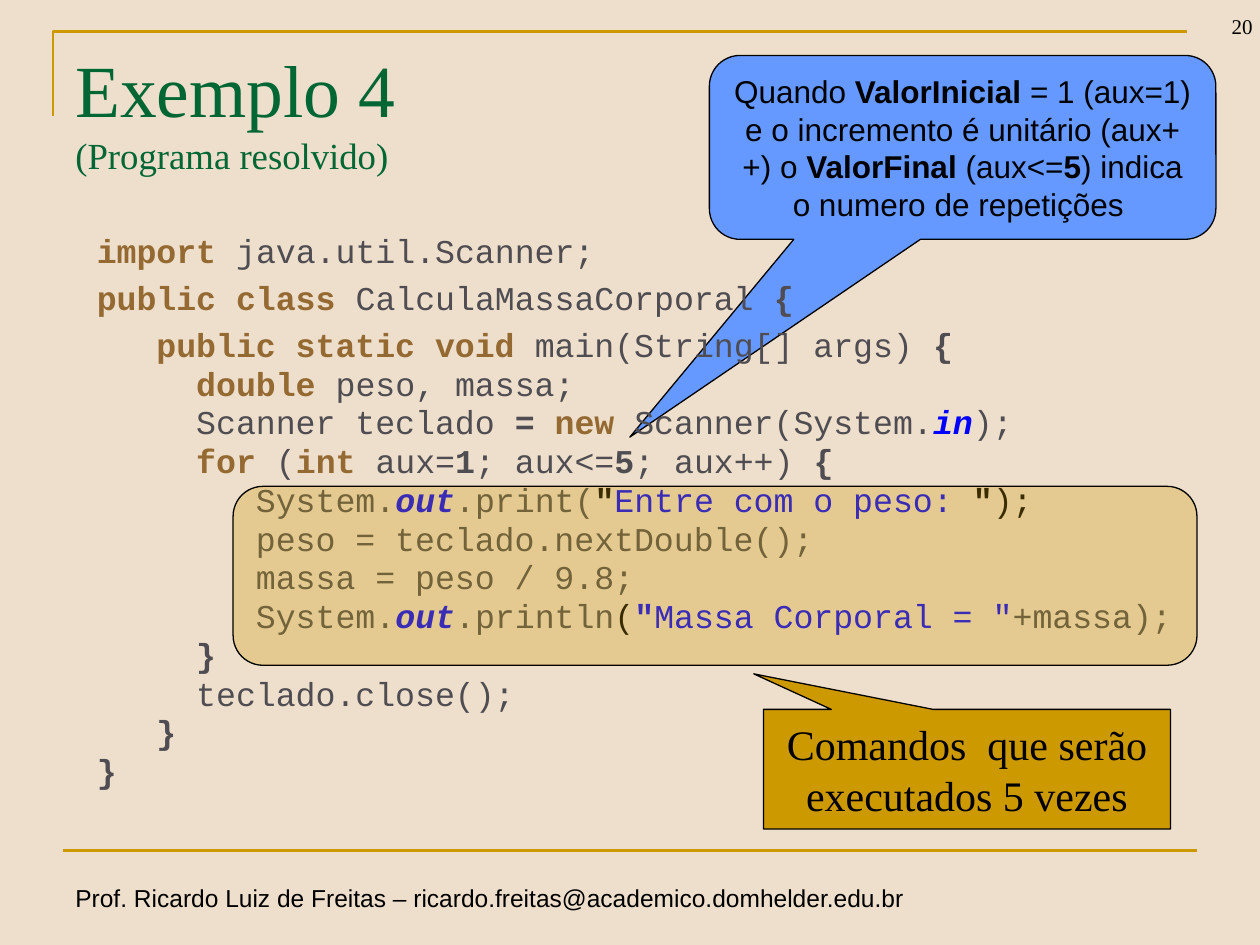
import pptx
import pptx.util
import pptx.dml.color
import pptx.enum.shapes
import pptx.enum.text
import pptx.oxml.ns
import lxml.etree

SHAPE = pptx.enum.shapes.MSO_SHAPE
ALIGN = pptx.enum.text.PP_ALIGN
ANCHOR = pptx.enum.text.MSO_ANCHOR
BLACK, GOLD, GREEN, BLUE = "000000", "CC9900", "006633", "0000FF"
BROWN, GREY, SKY, SAND = "946A32", "4F4D52", "6699FF", "EEDFCC"
hex_color = pptx.dml.color.RGBColor.from_string


def write(paragraph, text, size=19, font="Courier New", color=BLACK, bold=False, italic=False):
    run = paragraph.add_run()
    run.text = text
    run.font.size = pptx.util.Pt(size)
    run.font.name = font
    run.font.bold = bold
    run.font.italic = italic
    run.font.color.rgb = hex_color(color)


def paint(shape, fill=None, line=BLACK, width=0.75):
    shape.shadow.inherit = False
    if fill:
        shape.fill.solid()
        shape.fill.fore_color.rgb = hex_color(fill)
    else:
        shape.fill.background()
    shape.line.color.rgb = hex_color(line)
    shape.line.width = pptx.util.Pt(width)


deck = pptx.Presentation()
deck.slide_width = pptx.util.Inches(10)
deck.slide_height = pptx.util.Inches(7.5)
col = deck.slide_width // 100
row = deck.slide_height // 75
slide = deck.slides.add_slide(deck.slide_layouts[6])
slide.background.fill.solid()
slide.background.fill.fore_color.rgb = hex_color(SAND)
shapes = slide.shapes

footer = shapes.add_textbox(5 * col, int(69.6 * row), int(68.6 * col), int(3.4 * row))
write(footer.text_frame.paragraphs[0],
      "Prof. Ricardo Luiz de Freitas – ricardo.freitas@academico.domhelder.edu.br", size=14, font="Arial")

corner = shapes.build_freeform(int(4.2 * col), int(9.2 * row))
corner.add_line_segments([(4.2 * col, 2.5 * row), (94.2 * col, 2.5 * row)], close=False)
paint(corner.convert_to_shape(), line=GOLD, width=1.5)

footer_rule = shapes.add_connector(pptx.enum.shapes.MSO_CONNECTOR.STRAIGHT,
                                   5 * col, int(67.5 * row), 95 * col, int(67.5 * row))
footer_rule.line.color.rgb = hex_color(GOLD)
footer_rule.line.width = pptx.util.Pt(1.5)
lxml.etree.SubElement(footer_rule._element.spPr, pptx.oxml.ns.qn("a:effectLst"))

loop_note = shapes.add_shape(SHAPE.ROUNDED_RECTANGULAR_CALLOUT, int(56.3 * col), int(4.4 * row),
                             int(40.2 * col), int(14.6 * row))
for index, value in enumerate((-0.657, 1.575, 0.167)):
    loop_note.adjustments[index] = value
paint(loop_note, fill=SKY)
loop_note.text_frame.word_wrap = True
loop_note.text_frame.vertical_anchor = ANCHOR.MIDDLE
loop_text = loop_note.text_frame.paragraphs[0]
loop_text.alignment = ALIGN.CENTER
for part, strong in (("Quando ", False), ("ValorInicial", True),
                     (" = 1 (aux=1) e o incremento é unitário (aux++) o ", False),
                     ("ValorFinal", True), (" (aux<=", False), ("5", True),
                     (") indica o numero de repetições ", False)):
    write(loop_text, part, size=18, font="Arial", bold=strong)

page_number = shapes.add_textbox(int(92.9 * col), int(-1.4 * row), int(7.5 * col), 5 * row)
page_number.text_frame.word_wrap = True
page_number.text_frame.vertical_anchor = ANCHOR.BOTTOM
page_number.text_frame.paragraphs[0].alignment = ALIGN.RIGHT
write(page_number.text_frame.paragraphs[0], "20", size=12, font="Times New Roman")

title = shapes.add_textbox(5 * col, int(2.5 * row), 90 * col, int(12.5 * row))
title.text_frame.word_wrap = True
title.text_frame.vertical_anchor = ANCHOR.MIDDLE
heading = title.text_frame.paragraphs[0]
write(heading, "Exemplo 4 ", size=42, font="Times New Roman", color=GREEN)
heading.add_line_break()
write(heading, "(Programa resolvido)", size=21, font="Times New Roman", color=GREEN)

keyword = dict(color=BROWN, bold=True)
plain = dict(color=GREY)
strong = dict(color=GREY, bold=True)
member = dict(color=BLUE, bold=True, italic=True)
string = dict(color=BLUE)
quote = dict(color=BLACK, bold=True)
program = [
    [("import ", keyword), ("java.util.Scanner;", plain)],
    [("public class ", keyword), ("CalculaMassaCorporal ", plain), ("{", strong)],
    [("   public static void ", keyword), ("main(String[] args) ", plain), ("{", strong)],
    [("     double ", keyword), ("peso, massa;", plain)],
    [("     Scanner teclado ", plain), ("= ", strong), ("new", keyword), (" Scanner(System.", plain),
     ("in", member), (");", plain)],
    [("     for", keyword), (" (", plain), ("int", keyword), (" aux=", plain), ("1", strong),
     ("; aux<=", plain), ("5", strong), ("; aux++) ", plain), ("{", strong)],
    [("        System.", plain), ("out", member), (".print(", plain), ('"', quote),
     ("Entre com o peso: ", string), ('"', quote), (");", dict(color=BLACK))],
    [("        peso = teclado.nextDouble();", plain)],
    [("        massa = peso / 9.8;", plain)],
    [("        System.", plain), ("out", member), (".println", plain), ("(", dict(color=BLACK)),
     ('"', dict(color=BLUE, bold=True)), ('Massa Corporal = "', string), ("+massa);", plain)],
    [("     }", strong)],
    [("     teclado.close();", plain)],
    [("   }", strong)],
    [("}", strong)],
]
listing = shapes.add_textbox(int(6.7 * col), int(17.8 * row), int(88.3 * col), int(45.7 * row)).text_frame
listing.word_wrap = True
for number, tokens in enumerate(program):
    code_line = listing.add_paragraph() if number else listing.paragraphs[0]
    code_line.space_before = pptx.util.Pt(3.9 if number else 0)
    code_line.line_spacing = 0.8 if number > 2 else 1.0
    for token, look in tokens:
        write(code_line, token, **look)

loop_body = shapes.add_shape(SHAPE.FLOWCHART_ALTERNATE_PROCESS, int(18.5 * col), int(38.6 * row),
                             int(76.5 * col), int(14.2 * row))
paint(loop_body, fill=GOLD)
tint = loop_body._element.spPr.find(".//" + pptx.oxml.ns.qn("a:srgbClr"))
lxml.etree.SubElement(tint, pptx.oxml.ns.qn("a:alpha"), val="29000")

body_note = shapes.add_shape(SHAPE.RECTANGULAR_CALLOUT, int(60.6 * col), int(56.3 * row),
                             int(32.3 * col), int(9.5 * row))
body_note.adjustments[0] = -0.524
body_note.adjustments[1] = -0.797
paint(body_note, fill=GOLD)
body_note.text_frame.word_wrap = True
body_note.text_frame.vertical_anchor = ANCHOR.MIDDLE
body_note.text_frame.paragraphs[0].alignment = ALIGN.CENTER
write(body_note.text_frame.paragraphs[0], "Comandos  que serão executados 5 vezes",
      size=24, font="Times New Roman")

deck.save("out.pptx")
